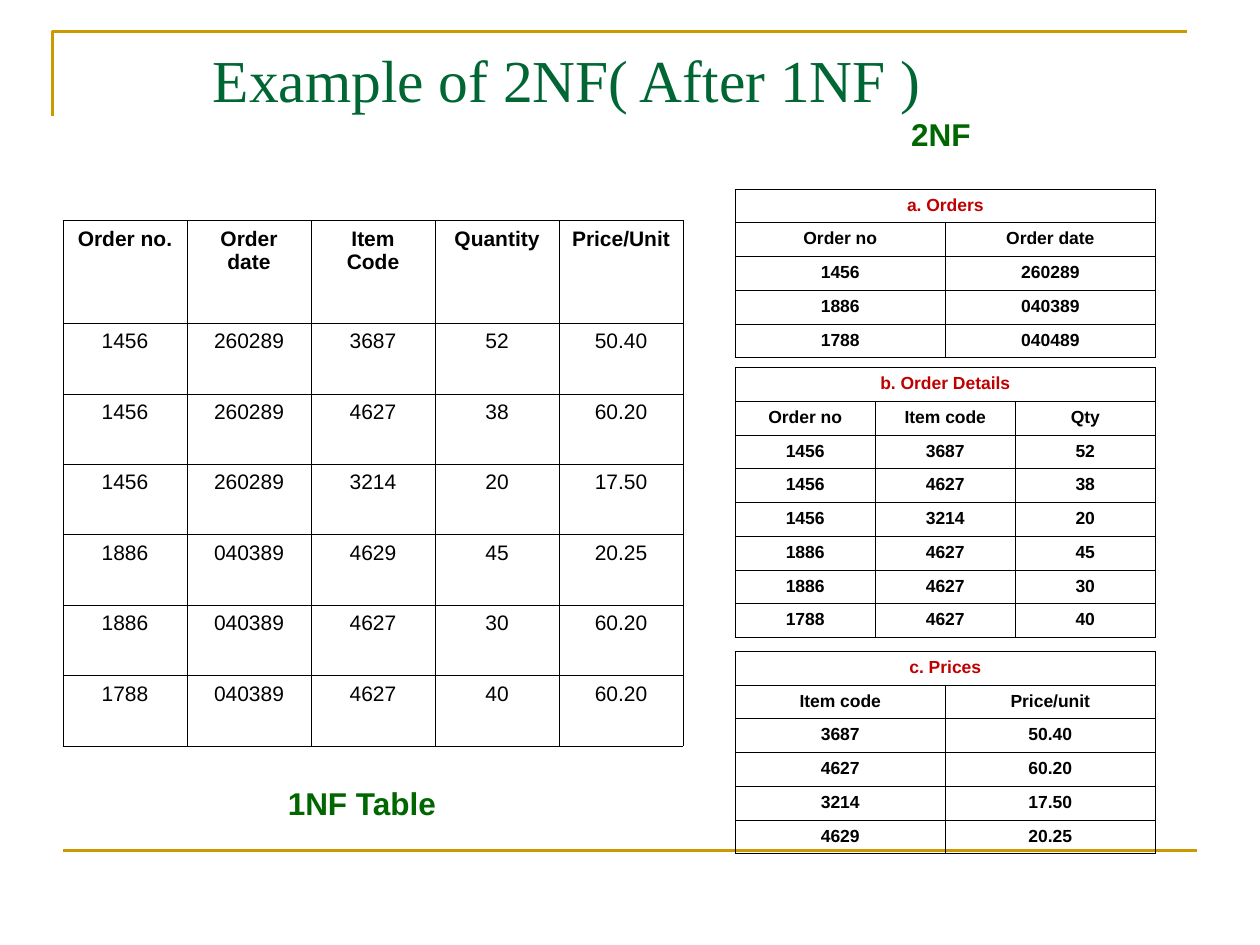
from lxml import etree
from pptx import Presentation
from pptx.dml.color import RGBColor
from pptx.enum.shapes import MSO_CONNECTOR
from pptx.enum.text import MSO_ANCHOR, PP_ALIGN
from pptx.oxml.ns import qn
from pptx.util import Cm, Pt

STRAIGHT = MSO_CONNECTOR.STRAIGHT
CENTER = PP_ALIGN.CENTER
TOP, MIDDLE = MSO_ANCHOR.TOP, MSO_ANCHOR.MIDDLE
GOLD, BLACK, RED = "CC9900", "000000", "C00000"

TITLE = {"name": "Times New Roman", "size": Pt(34), "color": "006633"}
CAPTION = {"name": "Arial", "size": Pt(18), "bold": True, "color": "006600"}
FLAT_HEADER = {"name": "Arial", "size": Pt(12), "bold": True, "color": BLACK}
FLAT_BODY = {**FLAT_HEADER, "bold": False}
SPLIT_BODY = {**FLAT_HEADER, "size": Pt(10)}
SPLIT_HEADER = {**SPLIT_BODY, "color": RED}

FLAT_ROWS = [
    ["Order no.", "Order date", "Item Code", "Quantity", "Price/Unit"],
    ["1456", "260289", "3687", "52", "50.40"],
    ["1456", "260289", "4627", "38", "60.20"],
    ["1456", "260289", "3214", "20", "17.50"],
    ["1886", "040389", "4629", "45", "20.25"],
    ["1886", "040389", "4627", "30", "60.20"],
    ["1788", "040389", "4627", "40", "60.20"],
]
SPLIT_TABLES = [
    (3.81, "a. Orders", [
        ["Order no", "Order date"],
        ["1456", "260289"],
        ["1886", "040389"],
        ["1788", "040489"],
    ]),
    (7.41, "b. Order Details", [
        ["Order no", "Item code", "Qty"],
        ["1456", "3687", "52"],
        ["1456", "4627", "38"],
        ["1456", "3214", "20"],
        ["1886", "4627", "45"],
        ["1886", "4627", "30"],
        ["1788", "4627", "40"],
    ]),
    (13.13, "c. Prices", [
        ["Item code", "Price/unit"],
        ["3687", "50.40"],
        ["4627", "60.20"],
        ["3214", "17.50"],
        ["4629", "20.25"],
    ]),
]


def rgb(color):
    """Return the colour for a hex string."""
    return RGBColor.from_string(color)


def write_text(frame, text, style):
    """Write one centred paragraph in the given style."""
    para = frame.paragraphs[0]
    para.alignment = CENTER
    span = para.add_run()
    span.text = text
    for name, value in style.items():
        if name == "color":
            span.font.color.rgb = rgb(value)
        else:
            setattr(span.font, name, value)


def add_text(page, left, top, width, height, text, style, anchor=MIDDLE):
    """Add a wrapping text box."""
    box = page.shapes.add_textbox(Cm(left), Cm(top), Cm(width), Cm(height))
    box.text_frame.word_wrap = True
    box.text_frame.vertical_anchor = anchor
    write_text(box.text_frame, text, style)


def add_corner(page, points):
    """Add the open gold outline at the top of the page."""
    corners = [(Cm(x), Cm(y)) for x, y in points]
    builder = page.shapes.build_freeform(*corners[0])
    builder.add_line_segments(corners[1:], close=False)
    corner = builder.convert_to_shape()
    corner.shadow.inherit = False
    corner.fill.background()
    corner.line.color.rgb = rgb(GOLD)
    corner.line.width = Pt(1.5)


def add_rule(page, left, right, height):
    """Add the horizontal gold line at the foot of the page."""
    rule = page.shapes.add_connector(STRAIGHT, Cm(left), Cm(height), Cm(right), Cm(height))
    rule.line.color.rgb = rgb(GOLD)
    rule.line.width = Pt(1.5)
    etree.SubElement(rule._element.spPr, qn("a:effectLst"))


def set_borders(cell):
    """Give a cell thin black lines on all sides."""
    properties = cell._tc.get_or_add_tcPr()
    for position, side in enumerate(("a:lnL", "a:lnR", "a:lnT", "a:lnB")):
        line = etree.Element(qn(side), w=str(Pt(0.45)))
        fill = etree.SubElement(line, qn("a:solidFill"))
        etree.SubElement(fill, qn("a:srgbClr"), val=BLACK)
        properties.insert(position, line)


def add_grid(page, left, top, width, heights, rows, header_style, body_style):
    """Add a bordered table, merging the first row when it holds one text."""
    columns = len(rows[-1])
    frame = page.shapes.add_table(
        len(rows), columns, Cm(left), Cm(top), Cm(width), Cm(sum(heights)))
    table = frame.table
    table.first_row = table.horz_banding = False
    for column in table.columns:
        column.width = Cm(width / columns)
    for row, height in zip(table.rows, heights):
        row.height = Cm(height)
    for cell in table.iter_cells():
        cell.fill.background()
        set_borders(cell)
    if len(rows[0]) == 1:
        table.cell(0, 0).merge(table.cell(0, columns - 1))
    for r, texts in enumerate(rows):
        for c, text in enumerate(texts):
            style = body_style if r else header_style
            write_text(table.cell(r, c).text_frame, text, style)


def main():
    """Build the slide and save it."""
    deck = Presentation()
    deck.slide_width, deck.slide_height = Cm(25.4), Cm(19.05)
    page = deck.slides.add_slide(deck.slide_layouts[6])
    add_corner(page, [(1.06, 2.33), (1.06, 0.64), (23.92, 0.64)])
    add_rule(page, 1.27, 24.13, 17.15)
    add_text(page, 0, 0.75, 22.86, 1.55, "Example of 2NF( After 1NF )", TITLE, TOP)
    for top, heading, rows in SPLIT_TABLES:
        heights = [0.68] * (len(rows) + 1)
        add_grid(page, 14.82, top, 8.47, heights, [[heading]] + rows,
                 SPLIT_HEADER, SPLIT_BODY)
    flat_heights = [2.07] + [1.42] * (len(FLAT_ROWS) - 1)
    add_grid(page, 1.27, 4.45, 12.5, flat_heights, FLAT_ROWS, FLAT_HEADER, FLAT_BODY)
    add_text(page, 4.02, 15.67, 6.55, 1.02, "1NF Table", CAPTION)
    add_text(page, 14.82, 2.2, 8.3, 1.02, "2NF", CAPTION)
    deck.save("out.pptx")


if __name__ == "__main__":
    main()
